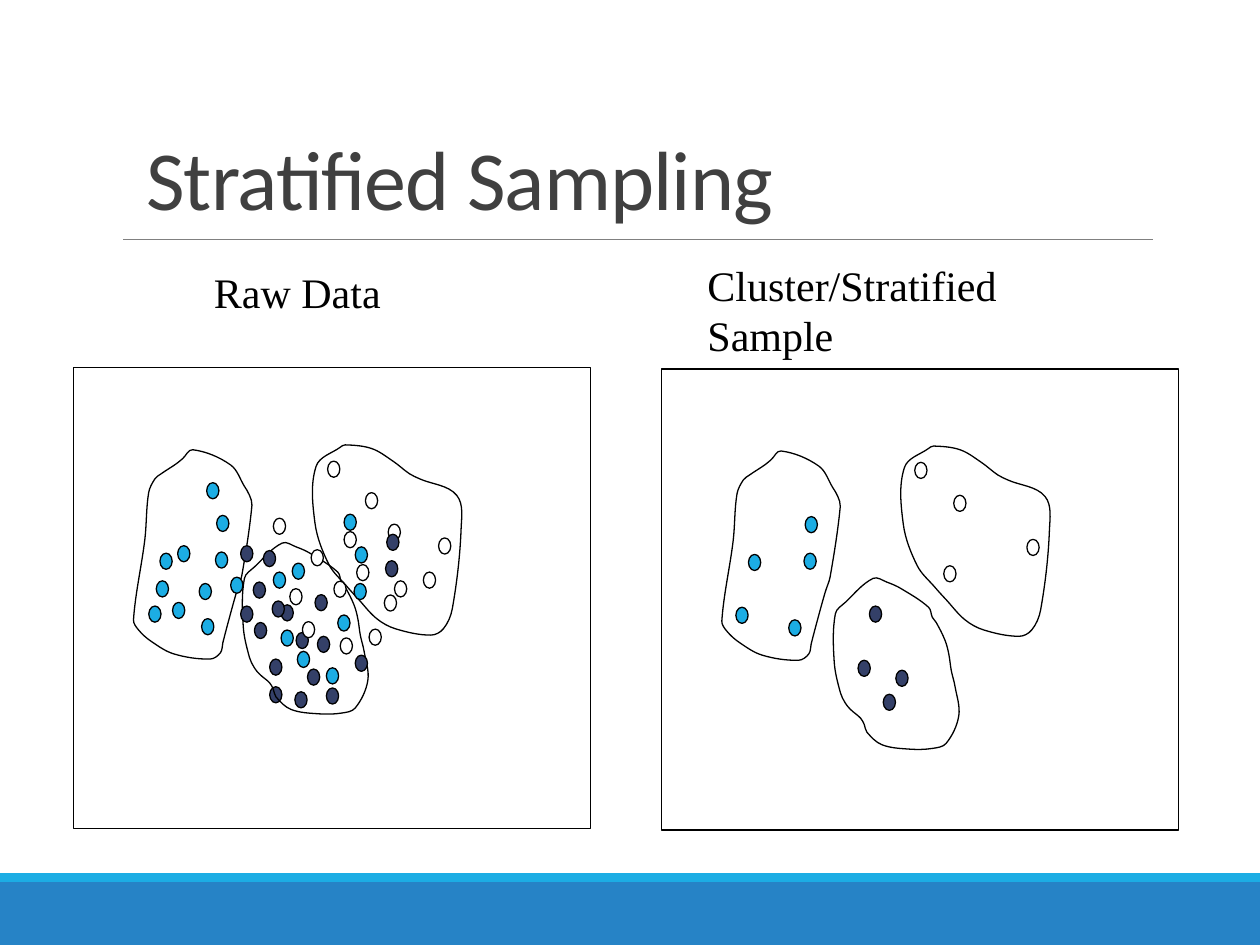
"""Build the Stratified Sampling slide: raw data beside a stratified sample."""
from math import dist
from lxml import etree
from pptx import Presentation
from pptx.dml.color import RGBColor
from pptx.enum.shapes import MSO_CONNECTOR, MSO_SHAPE
from pptx.enum.text import MSO_ANCHOR, MSO_AUTO_SIZE, PP_ALIGN
from pptx.oxml.ns import qn
from pptx.util import Pt

RECTANGLE = MSO_SHAPE.RECTANGLE
DOT = MSO_SHAPE.FLOWCHART_CONNECTOR
STRAIGHT = MSO_CONNECTOR.STRAIGHT
BOTTOM, TOP = MSO_ANCHOR.BOTTOM, MSO_ANCHOR.TOP
LEFT = PP_ALIGN.LEFT
NO_AUTOSIZE = MSO_AUTO_SIZE.NONE

COLORS = {"white": "FFFFFF", "navy": "344068", "cyan": "1CADE4", "blue": "2683C6",
          "black": "000000", "title": "404040", "rule": "808080"}
TITLE = "Stratified Sampling"
TITLE_BOX = (76.3, 43.9, 553, 90)
LABELS = [("Raw Data", (115.2, 149, 116, 36)),
          ("Cluster/Stratified Sample", (397.2, 144.7, 240, 64))]
TITLE_FONT = {"name": "Calibri", "size": Pt(48), "bold": False}
LABEL_FONT = {"name": "Times New Roman", "size": Pt(24), "bold": False}
BANDS = [("blue", (0, 504, 720, 36)), ("cyan", (0, 499, 720, 5))]
RAW_PANEL = (42, 210, 295.4, 263.5)
SAMPLE_PANEL = (378, 210.8, 295.4, 263.5)
DOT_SIZE = (7, 9.2)

STRATA = {
    "white": [
        (261, 283), (263.5, 302.4), (258.5, 347.8), (253.4, 359.3),
        (246.2, 362.9), (226, 359.3), (215.3, 353.5), (204.5, 342),
        (198, 334.8), (188, 322.6), (180, 298.8), (180.7, 266.4),
        (194.4, 255.6), (197.3, 254.2), (212.4, 256.3), (224.6, 263.5),
        (234, 270.7), (239.8, 273.6)],
    "navy": [
        (156.2, 393.8), (154.1, 390.2), (148.3, 385.2), (145.4, 381.6), (142.6, 375.8),
        (139, 357.8), (139.7, 330.5), (145.4, 324), (161.3, 310.3), (169.2, 312.5),
        (177.1, 316.1), (193, 326.9), (195.1, 332.6), (197.3, 335.5), (202.3, 345.6),
        (204.5, 353.5), (205.9, 362.9), (208.1, 372.2), (210.2, 388.8), (203, 404.6),
        (195.1, 407.5), (182.3, 407.9), (166.3, 405.4), (157.7, 398.2)],
    "cyan": [
        (135.4, 337.7), (131, 353.5), (127.4, 367.2), (126, 373), (120.2, 376.6),
        (99.4, 373.7), (86.4, 366.5), (79.2, 360), (76.3, 354.2), (82.8, 308.2),
        (85, 281.5), (88.6, 273.6), (92.2, 270.7), (100.8, 265), (104.4, 262.1),
        (110.2, 257), (131.8, 265.7), (139.7, 277.9), (142.6, 283), (144, 288.7),
        (138.2, 329)],
}
SAMPLE_SHIFTS = {"white": (336.2, 0.7), "navy": (337.7, 20.2), "cyan": (336.2, 0.7)}

CLUSTERED_DOTS = {
    "white": [(208.8, 281.5), (203.8, 322.6), (221.8, 299.5), (196.6, 303.8),
              (250.6, 307.4), (241.9, 326.9), (225.4, 331.9), (187.2, 263.5)],
    "navy": [(145.4, 355.7), (181.4, 363.6), (168.5, 395.3), (175.7, 382.3), (154.1, 376.6),
             (154.1, 392.4), (160.6, 345.6), (169.2, 361.4), (186.5, 393.1)],
    "cyan": [(98.6, 344.2), (89.3, 331.9), (113.8, 333.4), (101.5, 311.8), (85, 346.3),
             (91.4, 316.1), (115.2, 353.5), (123.1, 315.4), (123.8, 294.5), (118.1, 275.8)],
}
MIXED_DOTS = {
    "white": [(left - 31, top + 32.6) for left, top in CLUSTERED_DOTS["white"]],
    "navy": [(180, 339.8), (150.5, 314.6), (137.5, 346.3), (144.7, 332.6), (221, 305.3),
             (220.3, 320.4), (203, 374.4), (137.5, 311.8), (155.5, 343.4)],
    "cyan": [(169.9, 372.2), (160.6, 360), (193, 351.4), (167, 321.8), (131.8, 329.8),
             (156.2, 326.9), (186.5, 381.6), (202.3, 333.4), (203, 312.5), (196.6, 293.8)],
}
SAMPLE_DOTS = {
    "white": [(545, 283), (539.3, 323.3), (586.8, 308.2), (522.7, 264.2)],
    "navy": [(504.7, 396.7), (511.9, 383), (490.3, 377.3), (496.8, 346.3)],
    "cyan": [(420.5, 347), (427.7, 316.8), (450.7, 354.2), (459.4, 316.1), (460.1, 295.2)],
}


def color(name):
    return RGBColor.from_string(COLORS[name])


def points(values):
    return [Pt(value) for value in values]


def style(shape, fill=None, line=None):
    shape.shadow.inherit = False
    if fill:
        shape.fill.solid()
        shape.fill.fore_color.rgb = color(fill)
    else:
        shape.fill.background()
    if line:
        shape.line.color.rgb = color(line)
        shape.line.width = Pt(0.75)
    else:
        shape.line.fill.background()


def add_preset(slide, kind, box, fill=None, line=None):
    style(slide.shapes.add_shape(kind, *points(box)), fill, line)


def add_dots(slide, dots):
    for fill, positions in dots.items():
        for position in positions:
            add_preset(slide, DOT, position + DOT_SIZE, fill, "black")


def handle(anchor, away, toward, length):
    reach = length / 3 / dist(away, toward)
    return tuple(a + (t - w) * reach for a, w, t in zip(anchor, away, toward))


def round_corners(shape):
    outline = shape._element.find(".//" + qn("a:path"))
    corners = [(int(point.get("x")), int(point.get("y"))) for point in outline.iter(qn("a:pt"))]
    for segment in outline.findall(qn("a:lnTo")):
        outline.remove(segment)
    close = outline.find(qn("a:close"))
    count = len(corners)
    for index in range(count):
        before, start, end, after = (corners[(index + step) % count] for step in (-1, 0, 1, 2))
        length = dist(start, end)
        curve = etree.Element(qn("a:cubicBezTo"))
        for x, y in (handle(start, before, end, length), handle(end, after, start, length), end):
            etree.SubElement(curve, qn("a:pt"), x=str(round(x)), y=str(round(y)))
        close.addprevious(curve)


def add_stratum(slide, corners, shift=(0, 0)):
    outline = [points((x + shift[0], y + shift[1])) for x, y in corners]
    builder = slide.shapes.build_freeform(*outline[0])
    builder.add_line_segments(outline[1:], close=True)
    shape = builder.convert_to_shape()
    round_corners(shape)
    style(shape, line="black")


def write_text(shape, text, font, text_color, anchor, spacing):
    frame = shape.text_frame
    for name, value in {"word_wrap": True, "auto_size": NO_AUTOSIZE,
                        "vertical_anchor": anchor}.items():
        setattr(frame, name, value)
    paragraph = frame.paragraphs[0]
    paragraph.alignment = LEFT
    paragraph.line_spacing = spacing
    run = paragraph.add_run()
    run.text = text
    for name, value in font.items():
        setattr(run.font, name, value)
    run.font.color.rgb = color(text_color)
    return run


def add_title(slide):
    title = slide.shapes.title
    title.left, title.top, title.width, title.height = points(TITLE_BOX)
    run = write_text(title, TITLE, TITLE_FONT, "title", BOTTOM, 0.85)
    run._r.get_or_add_rPr().set("spc", "-50")


def add_rule(slide):
    rule = slide.shapes.add_connector(STRAIGHT, *points((70.5, 136.8, 658.8, 136.8)))
    rule.line.color.rgb = color("rule")
    rule.line.width = Pt(0.5)
    etree.SubElement(rule._element.spPr, qn("a:effectLst"))


def main():
    presentation = Presentation()
    presentation.slide_width, presentation.slide_height = points((720, 540))
    slide = presentation.slides.add_slide(presentation.slide_layouts[5])
    for fill, box in BANDS:
        add_preset(slide, RECTANGLE, box, fill)
    add_rule(slide)
    add_title(slide)
    add_preset(slide, RECTANGLE, RAW_PANEL, line="black")
    add_dots(slide, CLUSTERED_DOTS)
    for corners in STRATA.values():
        add_stratum(slide, corners)
    add_preset(slide, RECTANGLE, SAMPLE_PANEL, line="black")
    add_dots(slide, SAMPLE_DOTS)
    for name, corners in STRATA.items():
        add_stratum(slide, corners, SAMPLE_SHIFTS[name])
    for text, box in LABELS:
        label = slide.shapes.add_textbox(*points(box))
        write_text(label, text, LABEL_FONT, "black", TOP, 1.0)
    add_dots(slide, MIXED_DOTS)
    presentation.save("out.pptx")


if __name__ == "__main__":
    main()
